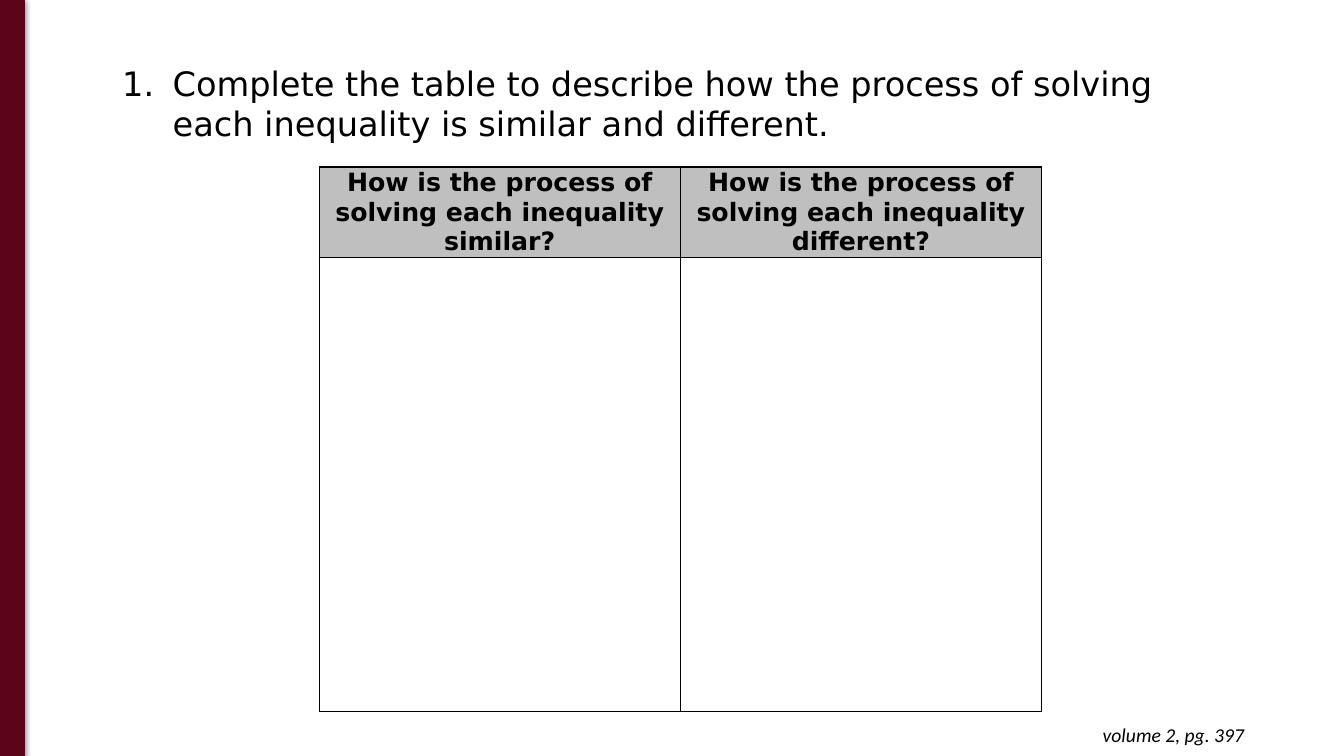
from lxml import etree
from pptx import Presentation
from pptx.dml.color import RGBColor
from pptx.enum.shapes import MSO_SHAPE
from pptx.enum.text import MSO_ANCHOR, PP_ALIGN
from pptx.oxml import parse_xml
from pptx.oxml.ns import nsdecls, qn
from pptx.util import Emu, Pt

RECT = MSO_SHAPE.RECTANGLE
MIDDLE = MSO_ANCHOR.MIDDLE
CENTER, RIGHT = PP_ALIGN.CENTER, PP_ALIGN.RIGHT
PX = 9525
COLORS = {"maroon": "5C051A", "black": "000000", "header": "BFBFBF"}


def px(*lengths):
    return [Emu(n * PX) for n in lengths]


def style(p, font, size, bold=False, italic=False):
    for r in p.runs:
        r.font.name = font
        r.font.size = Pt(size)
        r.font.bold = bold
        r.font.italic = italic
        r.font.color.rgb = RGBColor.from_string(COLORS["black"])


prs = Presentation()
prs.slide_width, prs.slide_height = px(1280, 720)
s = prs.slides.add_slide(prs.slide_layouts[6])

question = s.shapes.add_textbox(*px(107, 55, 1083, 109))
tf = question.text_frame
tf.word_wrap = True
p = tf.paragraphs[0]
p.text = "Complete the table to describe how the process of solving each inequality is similar and different."
pPr = p._p.get_or_add_pPr()
pPr.set("marL", str(48 * PX))
pPr.set("indent", str(-48 * PX))
bu_color = etree.SubElement(pPr, qn("a:buClr"))
etree.SubElement(bu_color, qn("a:srgbClr"), val=COLORS["black"])
etree.SubElement(pPr, qn("a:buFont"), typeface="DejaVu Sans")
etree.SubElement(pPr, qn("a:buAutoNum"), type="arabicPeriod")
style(p, "DejaVu Sans", 24)

bar = s.shapes.add_shape(RECT, *px(0, -1, 23, 721))
bar.fill.solid()
bar.fill.fore_color.rgb = RGBColor.from_string(COLORS["maroon"])
bar.line.color.rgb = RGBColor.from_string(COLORS["maroon"])
bar.line.width = Pt(0.75)
bar.shadow.inherit = False
effects = bar._element.spPr.find(qn("a:effectLst"))
effects.append(parse_xml(
    f'<a:outerShdw {nsdecls("a")} blurRad="{Pt(4.5)}" dist="{Pt(1.5)}" dir="5400000" '
    f'algn="ctr" rotWithShape="0"><a:srgbClr val="{COLORS["black"]}">'
    '<a:alpha val="50000"/></a:srgbClr></a:outerShdw>'))

rows = [
    ["How is the process of solving each inequality similar?",
     "How is the process of solving each inequality different?"],
    ["", ""],
]
table = s.shapes.add_table(2, 2, *px(304, 159, 688, 518)).table
table.horz_banding = False
for col in table.columns:
    col.width = Emu(344 * PX)
for row, height in zip(table.rows, px(86, 432)):
    row.height = height

for i, texts in enumerate(rows):
    for j, text in enumerate(texts):
        cell = table.cell(i, j)
        cell.margin_left, cell.margin_right, cell.margin_top, cell.margin_bottom = px(5, 5, 0, 0)
        cell.vertical_anchor = MIDDLE
        p = cell.text_frame.paragraphs[0]
        p.text = text
        p.alignment = CENTER
        style(p, "DejaVu Sans", 18, bold=True)
        tcPr = cell._tc.get_or_add_tcPr()
        for side in ("lnL", "lnR", "lnT", "lnB"):
            tcPr.append(parse_xml(
                f'<a:{side} {nsdecls("a")} w="{Pt(1)}"><a:solidFill>'
                f'<a:srgbClr val="{COLORS["black"]}"/></a:solidFill></a:{side}>'))
        if i == 0:
            cell.fill.solid()
            cell.fill.fore_color.rgb = RGBColor.from_string(COLORS["header"])
        else:
            cell.fill.background()

page_ref = s.shapes.add_textbox(*px(919, 678, 276, 42))
tf = page_ref.text_frame
tf.word_wrap = True
tf.margin_left, tf.margin_right, tf.margin_top, tf.margin_bottom = px(10, 10, 10, 10)
p = tf.paragraphs[0]
p.text = "volume 2, pg. 397"
p.alignment = RIGHT
style(p, "Calibri", 14, italic=True)

prs.save("out.pptx")
